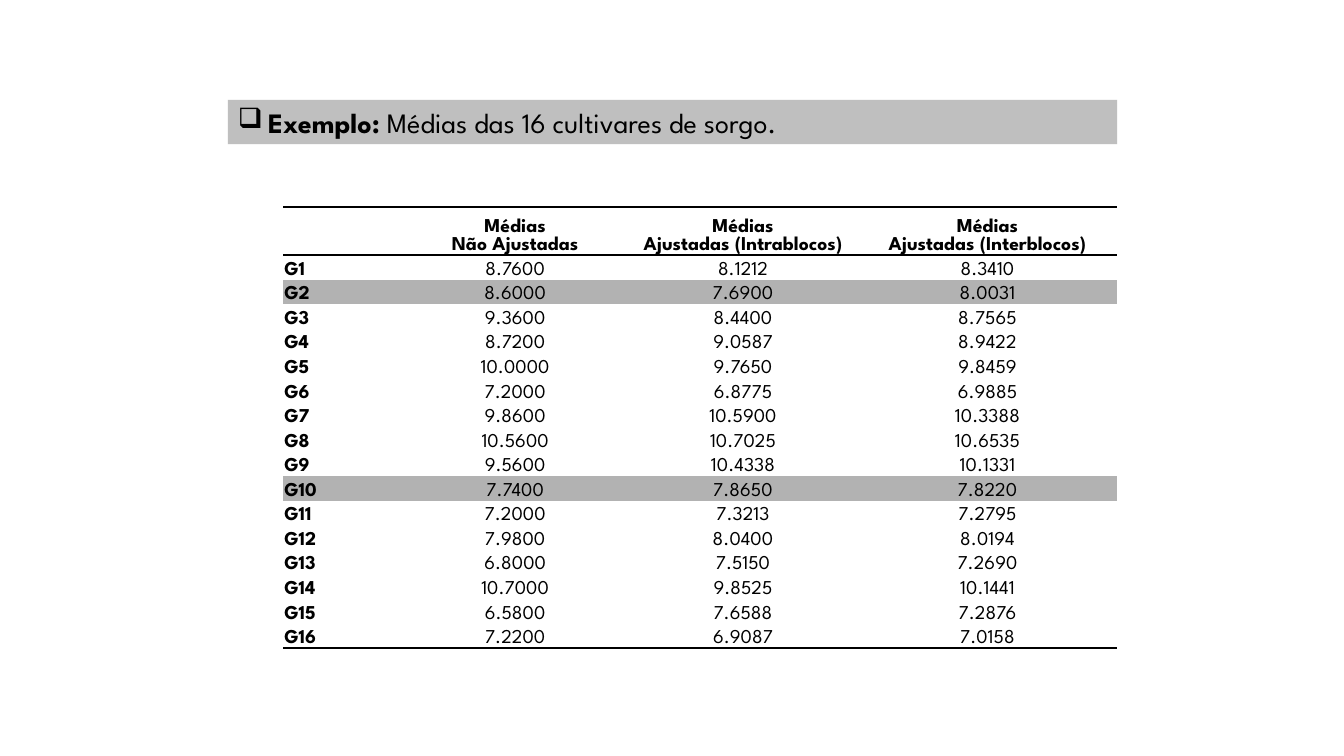
from lxml import etree
from pptx import Presentation
from pptx import util as u
from pptx.dml.color import RGBColor
from pptx.enum import text
from pptx.oxml.ns import qn

FONT = "League Spartan"
BLACK, BANNER_GREY, ROW_GREY = "000000", "BFBFBF", "B2B2B2"

HEADERS = ["", "Médias\nNão Ajustadas", "Médias\nAjustadas (Intrablocos)",
           "Médias\nAjustadas (Interblocos)"]
CULTIVAR_MEANS = [
    ("8.7600", "8.1212", "8.3410"),
    ("8.6000", "7.6900", "8.0031"),
    ("9.3600", "8.4400", "8.7565"),
    ("8.7200", "9.0587", "8.9422"),
    ("10.0000", "9.7650", "9.8459"),
    ("7.2000", "6.8775", "6.9885"),
    ("9.8600", "10.5900", "10.3388"),
    ("10.5600", "10.7025", "10.6535"),
    ("9.5600", "10.4338", "10.1331"),
    ("7.7400", "7.8650", "7.8220"),
    ("7.2000", "7.3213", "7.2795"),
    ("7.9800", "8.0400", "8.0194"),
    ("6.8000", "7.5150", "7.2690"),
    ("10.7000", "9.8525", "10.1441"),
    ("6.5800", "7.6588", "7.2876"),
    ("7.2200", "6.9087", "7.0158"),
]
HIGHLIGHTED = {"G2", "G10"}
COLUMN_SHARES = (1.18, 2.24, 2.28, 2.57)
HEADER_HEIGHT = 0.48


def color(hex_value):
    return RGBColor.from_string(hex_value)


def set_font(font, size, bold=None):
    font.name, font.size, font.bold = FONT, u.Pt(size), bold
    font.color.rgb = color(BLACK)


def add_banner(slide, left, top, width, height):
    banner = slide.shapes.title
    banner.left, banner.top = u.Inches(left), u.Inches(top)
    banner.width, banner.height = u.Inches(width), u.Inches(height)
    banner.fill.solid()
    banner.fill.fore_color.rgb = color(BANNER_GREY)
    frame = banner.text_frame
    frame.auto_size = text.MSO_AUTO_SIZE.NONE
    frame.vertical_anchor = text.MSO_ANCHOR.MIDDLE

    # Box bullet with a hanging indent
    paragraph = frame.paragraphs[0]
    paragraph.alignment = text.PP_ALIGN.JUSTIFY
    properties = paragraph._p.get_or_add_pPr()
    properties.set("marL", str(u.Inches(0.3)))
    properties.set("indent", str(u.Inches(-0.3)))
    etree.SubElement(properties, qn("a:buChar")).set("char", "❑")
    set_font(paragraph.font, 20)
    for words, bold in (("Exemplo:", True),
                        (" Médias das 16 cultivares de sorgo.", False)):
        run = paragraph.add_run()
        run.text = words
        set_font(run.font, 20, bold)


def set_borders(cell, top, bottom):
    """Draw the top and bottom rules, in points; zero means no rule."""
    properties = cell._tc.get_or_add_tcPr()
    for side, points in (("L", 0), ("R", 0), ("T", top), ("B", bottom)):
        line = etree.SubElement(properties, qn(f"a:ln{side}"))
        line.set("w", str(u.Pt(points)))
        if points:
            fill = etree.SubElement(line, qn("a:solidFill"))
            etree.SubElement(fill, qn("a:srgbClr")).set("val", BLACK)
        else:
            etree.SubElement(line, qn("a:noFill"))


def fill_cell(cell, words, bold, centred, shaded):
    if shaded:
        cell.fill.solid()
        cell.fill.fore_color.rgb = color(ROW_GREY)
    else:
        cell.fill.background()
    cell.vertical_anchor = text.MSO_ANCHOR.BOTTOM
    cell.margin_left = cell.margin_right = cell.margin_top = u.Inches(0.01)
    cell.margin_bottom = 0
    cell.text = words
    for paragraph in cell.text_frame.paragraphs:
        paragraph.alignment = text.PP_ALIGN.CENTER if centred else text.PP_ALIGN.LEFT
        set_font(paragraph.font, 14, bold)


def add_means_table(slide, left, top, width, height):
    rows = [HEADERS] + [(f"G{number}", *means)
                        for number, means in enumerate(CULTIVAR_MEANS, 1)]
    last = len(rows) - 1
    table = slide.shapes.add_table(
        len(rows), len(HEADERS), u.Inches(left), u.Inches(top),
        u.Inches(width), u.Inches(height)).table
    table.first_row = table.horz_banding = False

    # Column widths and row heights
    for column, share in zip(table.columns, COLUMN_SHARES):
        column.width = u.Inches(width * share / sum(COLUMN_SHARES))
    for index, row in enumerate(table.rows):
        row.height = u.Inches((height - HEADER_HEIGHT) / last if index else HEADER_HEIGHT)

    # Cells, with rules around the header and under the last row
    for r, values in enumerate(rows):
        for c, words in enumerate(values):
            cell = table.cell(r, c)
            set_borders(cell, top=1.5 if r <= 1 else 0,
                        bottom={0: 1.5, last: 1}.get(r, 0))
            fill_cell(cell, words, bold=r == 0 or c == 0, centred=c > 0,
                      shaded=values[0] in HIGHLIGHTED)


def main():
    presentation = Presentation()
    presentation.slide_width = u.Inches(13.33)
    presentation.slide_height = u.Inches(7.5)
    slide = presentation.slides.add_slide(presentation.slide_layouts[5])
    add_means_table(slide, 2.81, 2.05, 8.27, 4.38)
    add_banner(slide, 2.26, 0.99, 8.82, 0.44)
    presentation.save("out.pptx")


if __name__ == "__main__":
    main()
